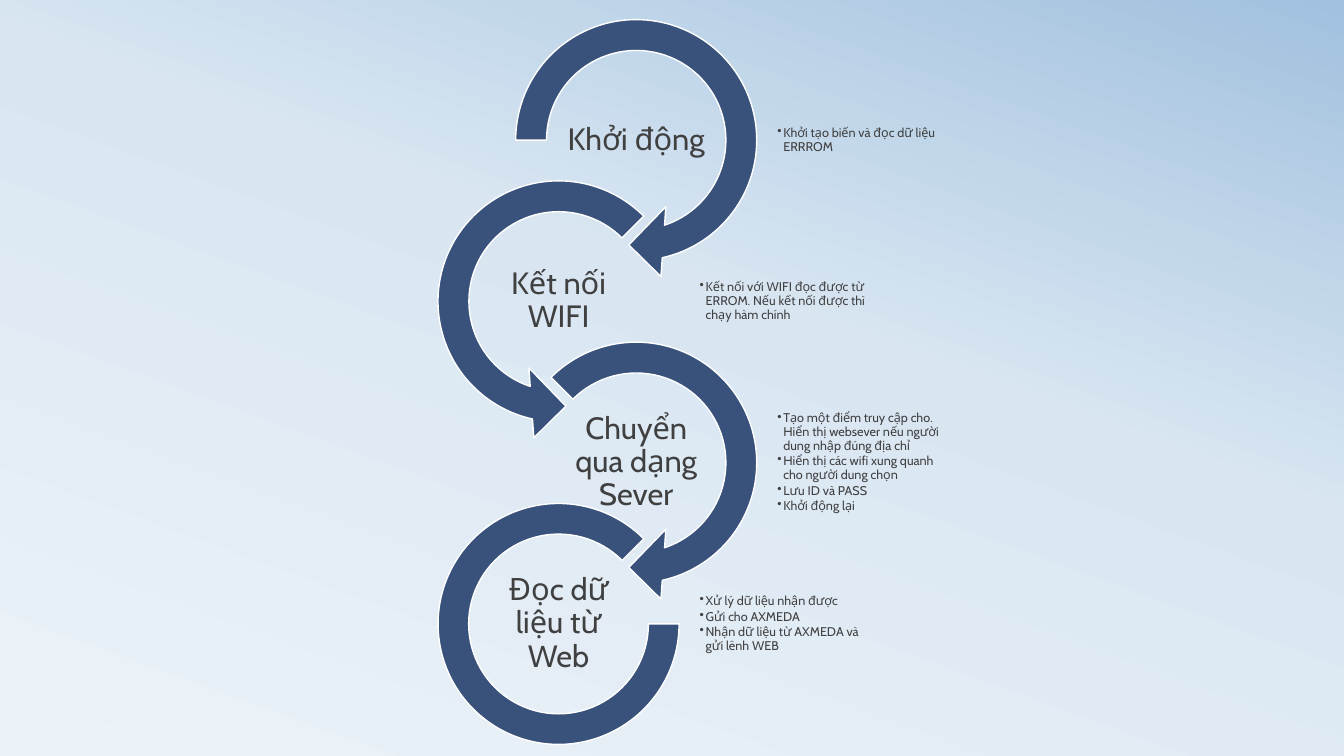
from copy import deepcopy

from pptx import Presentation
from pptx.dml.color import RGBColor
from pptx.enum.shapes import MSO_SHAPE
from pptx.enum.text import MSO_ANCHOR, PP_ALIGN
from pptx.oxml.ns import qn
from pptx.util import Inches, Pt

RIGHT_ARROW = MSO_SHAPE.CIRCULAR_ARROW
LEFT_ARROW = MSO_SHAPE.LEFT_CIRCULAR_ARROW
BLOCK_ARC = MSO_SHAPE.BLOCK_ARC
MIDDLE = MSO_ANCHOR.MIDDLE
CENTER, LEFT = PP_ALIGN.CENTER, PP_ALIGN.LEFT

NAVY = RGBColor(0x39, 0x52, 0x7B)
WHITE = RGBColor(0xFF, 0xFF, 0xFF)
GRAY = RGBColor(0x40, 0x40, 0x40)
BACKGROUND = [
    (0, RGBColor(0xEC, 0xF3, 0xF8)),
    (0.58, RGBColor(0xD9, 0xE6, 0xF2)),
    (1, RGBColor(0xA1, 0xC1, 0xDE)),
]
FONT = "Cabin"

# Steps: heading, details, ring shape, ring diameter, ring adjustments
STEPS = [
    ("Khởi động",
     ["Khởi tạo biến và đọc dữ liệu ERRROM"],
     RIGHT_ARROW, 2.78, (0.11, 11.42, 45, 108, 0.125)),
    ("Kết nối WIFI",
     ["Kết nối với WIFI đọc được từ ERROM. Nếu kết nối được thì "
      "chạy hàm chính"],
     LEFT_ARROW, 2.78, (0.11, 11.42, 63, 189, 0.125)),
    ("Chuyển qua dạng Sever",
     ["Tạo một điểm truy cập cho. Hiển thị websever nếu người dung nhập "
      "đúng địa chỉ",
      "Hiển thị các wifi xung quanh cho người dung chọn",
      "Lưu ID và PASS",
      "Khởi động lại"],
     RIGHT_ARROW, 2.78, (0.11, 11.42, 45, 135, 0.125)),
    ("Đọc dữ liệu từ Web",
     ["Xử lý dữ liệu nhận được",
      "Gửi cho AXMEDA",
      "Nhận dữ liệu từ AXMEDA và gửi lênh WEB"],
     BLOCK_ARC, 2.39, (0, 189, 0.127)),
]

# Rings zigzag between two columns, one row per step
COLUMNS = (6.31, 5.54)
FIRST_ROW, ROW_STEP = 1.39, 1.6
RADIUS = 1.39
HEADING_SIZE = (1.55, 0.78)
DETAILS_SIZE = (1.67, 1.11)

prs = Presentation()
prs.slide_width, prs.slide_height = Inches(13.33), Inches(7.5)
s = prs.slides.add_slide(prs.slide_layouts[6])

# Background gradient, rising towards the top right
fill = s.background.fill
fill.gradient()
fill.gradient_angle = 70
stop_list = next(s.element.iter(qn("a:gsLst")))
stop_list.append(deepcopy(stop_list[0]))
for stop, (position, color) in zip(fill.gradient_stops, BACKGROUND):
    stop.position = position
    stop.color.rgb = color


def add_ring(shape, cx, cy, diameter, adjustments):
    left, top = cx - diameter / 2, cy - diameter / 2
    sp = s.shapes.add_shape(shape, Inches(left), Inches(top),
                            Inches(diameter), Inches(diameter))
    sp.shadow.inherit = False
    for i, value in enumerate(adjustments):
        sp.adjustments[i] = value
    sp.fill.solid()
    sp.fill.fore_color.rgb = NAVY
    sp.line.color.rgb = WHITE
    sp.line.width = Pt(1)


def add_text(lines, left, cy, size, points, margin, bulleted):
    width, height = size
    tf = s.shapes.add_textbox(Inches(left), Inches(cy - height / 2),
                              Inches(width), Inches(height)).text_frame
    tf.word_wrap = True
    tf.vertical_anchor = MIDDLE
    tf.margin_left = tf.margin_right = Inches(margin)
    tf.margin_top = tf.margin_bottom = Inches(margin)
    for i, line in enumerate(lines):
        p = tf.add_paragraph() if i else tf.paragraphs[0]
        p.alignment = LEFT if bulleted else CENTER
        p.line_spacing = 0.9
        if bulleted:
            p.level = 1
            p.space_after = Pt(points * 0.15)
            pPr = p._p.get_or_add_pPr()
            pPr.set("marL", str(Inches(0.06)))
            pPr.set("indent", str(-Inches(0.06)))
            bullet = pPr.makeelement(qn("a:buChar"), {"char": "•"})
            pPr.append(bullet)
        r = p.add_run()
        r.text = line
        r.font.name = FONT
        r.font.size = Pt(points)
        r.font.color.rgb = GRAY


# Ring, details and heading of each step
for row, (heading, details, shape, diameter, adjustments) in enumerate(STEPS):
    cx, cy = COLUMNS[row % 2], FIRST_ROW + row * ROW_STEP
    add_ring(shape, cx, cy, diameter, adjustments)
    add_text(details, cx + RADIUS, cy, DETAILS_SIZE, 9, 0.01, True)
    add_text([heading], cx - HEADING_SIZE[0] / 2, cy, HEADING_SIZE, 22, 0.02,
             False)

prs.save("out.pptx")
